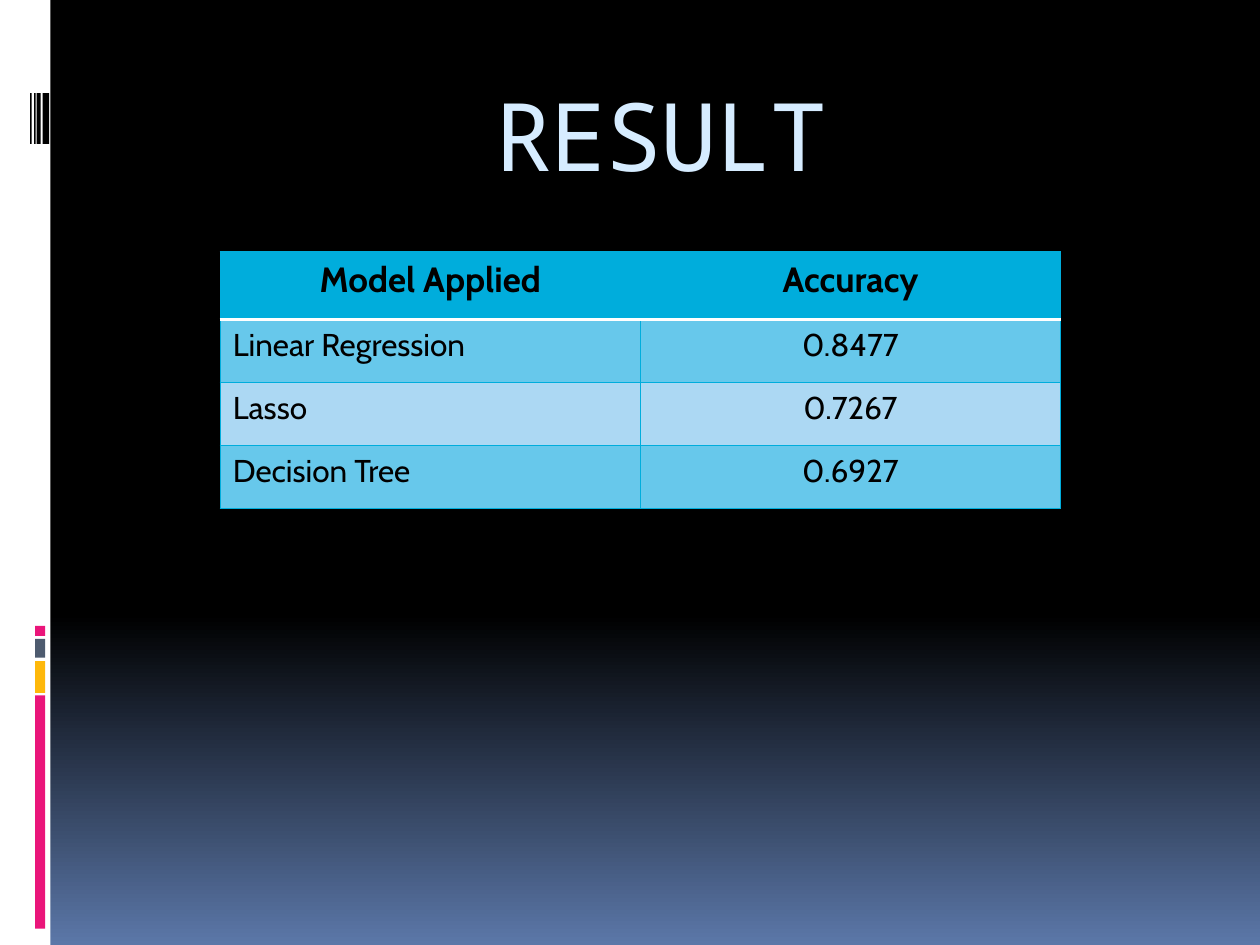
from copy import deepcopy
from lxml.etree import SubElement as Sub
from pptx import Presentation as Deck
from pptx.dml.color import RGBColor as Rgb
from pptx.enum.shapes import MSO_SHAPE as Kind
from pptx.enum.text import MSO_ANCHOR as Anchor, PP_ALIGN as Align
from pptx.oxml.ns import qn
from pptx.util import Cm, Pt

BLACK = Rgb(0, 0, 0)
WHITE = Rgb(255, 255, 255)
NIGHT = Rgb(0x5B, 0x77, 0xA8)
PINK = Rgb(0xEA, 0x15, 0x7A)
AMBER = Rgb(0xFE, 0xB8, 0x0A)
SLATE = Rgb(0x4E, 0x5B, 0x6F)
ICE = Rgb(0xD6, 0xEC, 0xFF)
CYAN = Rgb(0x00, 0xAD, 0xDC)
BANDS = (Rgb(0x67, 0xC8, 0xEB), Rgb(0xAC, 0xD8, 0xF3))

TITLE = {"name": "Noto Sans Mono", "size": Pt(54), "bold": False}
HEAD = {"name": "Cabin", "size": Pt(20), "bold": True}
BODY = {"name": "Cabin", "size": Pt(18), "bold": False}


class Page:
    """Holds the style and the current slide."""

    def __init__(self, deck):
        """Add a slide with only a title."""
        self.slide = deck.slides.add_slide(deck.slide_layouts[5])
        self.shapes = self.slide.shapes

    def label(self, para, text, style, color, align):
        """Put one styled run into a paragraph."""
        run = para.add_run()
        run.text = text
        para.alignment = align
        for key, val in style.items():
            setattr(run.font, key, val)
        run.font.color.rgb = color
        return run

    def back(self, stops):
        """Fill the background from top to bottom."""
        fill = self.slide.background.fill
        fill.gradient()
        fill.gradient_angle = 270
        first = next(self.slide.element.iter(qn("a:gs")))
        first.addnext(deepcopy(first))
        for stop, (pos, color) in zip(fill.gradient_stops, stops):
            stop.position = pos
            stop.color.rgb = color

    def bar(self, left, top, width, height, color):
        """Draw a plain filled box."""
        box = self.shapes.add_shape(Kind.RECTANGLE, *map(Cm, (left, top, width, height)))
        box.shadow.inherit = False
        box.fill.solid()
        box.fill.fore_color.rgb = color
        box.line.fill.background()

    def title(self, text, left, top, width, height):
        """Place and style the title."""
        box = self.shapes.title
        place = {"left": left, "top": top, "width": width, "height": height}
        for key, val in place.items():
            setattr(box, key, Cm(val))
        frame = box.text_frame
        frame.vertical_anchor = Anchor.MIDDLE
        run = self.label(frame.paragraphs[0], text, TITLE, ICE, Align.CENTER)
        run.font._element.set("spc", "-100")

    def edge(self, cell, sides):
        """Set the cell borders, given as side: (colour, points)."""
        props = cell._tc.get_or_add_tcPr()
        for spot, (side, (color, width)) in enumerate(sides.items()):
            line = Sub(props, qn(f"a:ln{side}"), w=str(Pt(width)))
            Sub(Sub(line, qn("a:solidFill")), qn("a:srgbClr"), val=str(color))
            props.insert(spot, line)

    def table(self, rows, left, top, width, highs):
        """Build a table with a header and banded rows."""
        count = len(rows[0])
        grid = self.shapes.add_table(len(rows), count, Cm(left), Cm(top),
                                     Cm(width * count), Cm(sum(highs))).table
        for col in grid.columns:
            col.width = Cm(width)
        thin, rule = (CYAN, 0.94), (WHITE, 1.5)
        for r, (row, high) in enumerate(zip(rows, highs)):
            grid.rows[r].height = Cm(high)
            for c, text in enumerate(row):
                cell = grid.cell(r, c)
                cell.fill.solid()
                cell.fill.fore_color.rgb = BANDS[(r - 1) % 2] if r else CYAN
                align = Align.LEFT if r and not c else Align.CENTER
                self.label(cell.text_frame.paragraphs[0], text,
                           BODY if r else HEAD, BLACK, align)
                self.edge(cell, {"L": thin, "R": thin,
                                 "T": rule if r == 1 else thin,
                                 "B": thin if r else rule})


def main():
    """Build and save the slide."""
    deck = Deck()
    deck.slide_width, deck.slide_height = Cm(25.4), Cm(19.05)
    page = Page(deck)
    page.back([(0, BLACK), (0.65, BLACK), (1, NIGHT)])
    page.bar(0, 0, 1.02, 19.05, WHITE)
    for top, high, color in [(14.02, 4.7, PINK), (13.33, 0.64, AMBER),
                             (12.88, 0.38, SLATE), (12.62, 0.2, PINK)]:
        page.bar(0.71, top, 0.2, high, color)
    for left, width in [(0.86, 0.13), (0.74, 0.08), (0.69, 0.03), (0.61, 0.03)]:
        page.bar(left, 1.88, width, 1.02, BLACK)
    page.title("RESULT", 2.54, 1.42, 21.59, 2.54)
    page.table([("Model Applied", "Accuracy"),
                ("Linear Regression", "0.8477"),
                ("Lasso", "0.7267"),
                ("Decision Tree", "0.6927")],
               4.44, 5.08, 8.47, [1.36] + [1.27] * 3)
    deck.save("out.pptx")


main()
